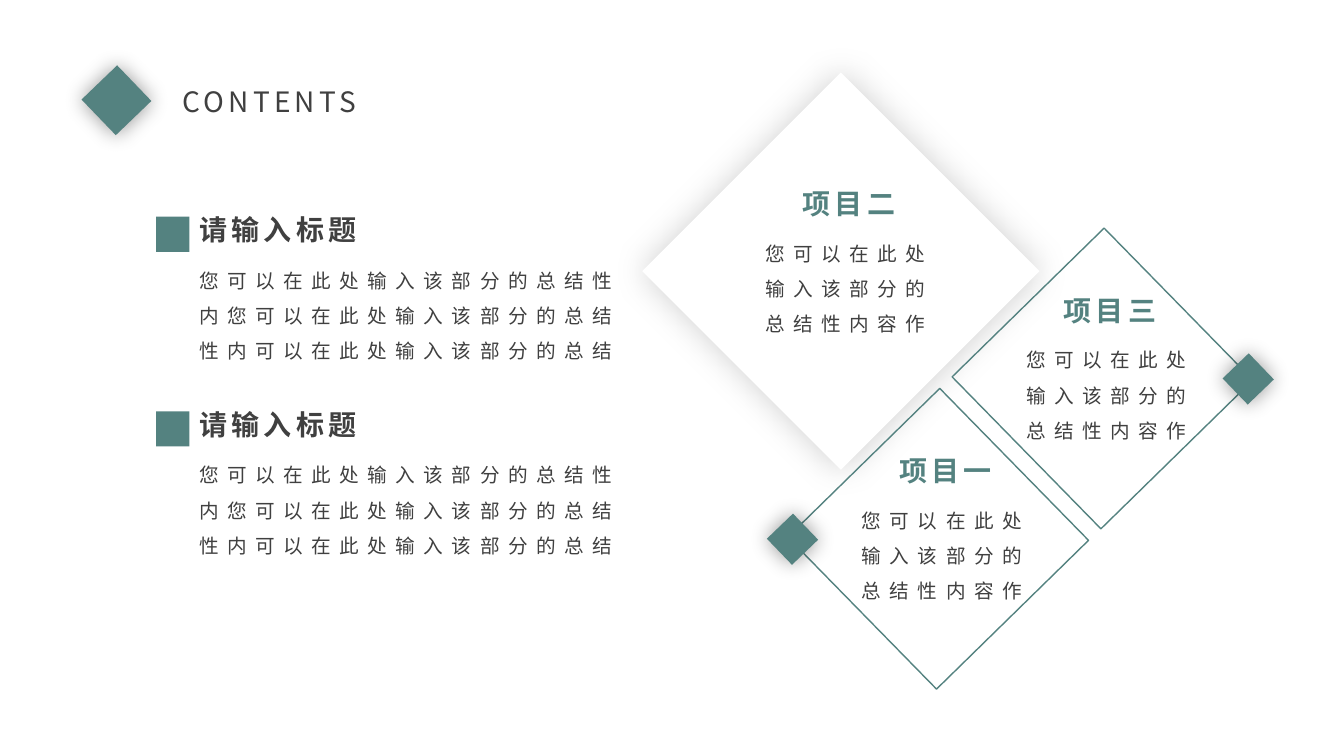
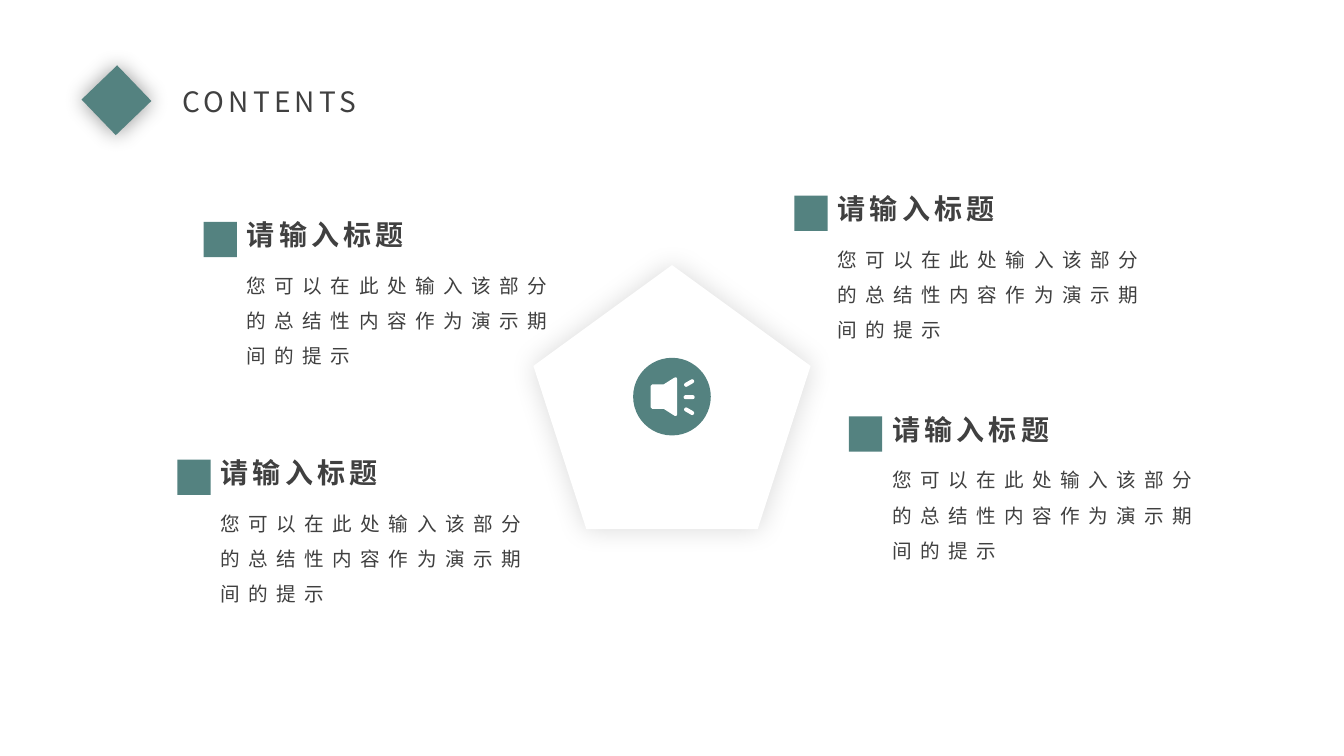
from typing import NamedTuple, Optional

from pptx import Presentation
from pptx.dml.color import RGBColor
from pptx.enum.shapes import MSO_SHAPE as Preset
from pptx.enum.text import MSO_ANCHOR as Anchor, MSO_AUTO_SIZE as AutoSize, PP_ALIGN as Align
from pptx.oxml.ns import qn
from pptx.oxml.xmlchemy import OxmlElement as Element
from pptx.shapes.autoshape import Shape
from pptx.slide import Slide
from pptx.text.text import TextFrame
from pptx.util import Inches, Pt

TEAL = RGBColor(0x54, 0x82, 0x80)
GRAY = RGBColor(0x40, 0x40, 0x40)
WHITE = RGBColor(0xFF, 0xFF, 0xFF)
FONT = "Noto Sans CJK SC"

HEADING = "请输入标题"
CARD_BODY = "您可以在此处输入该部分的总结性内容作"
LONG_BODY = "您可以在此处输入该部分的总结性内您可以在此处输入该部分的总结性内可以在此处输入该部分的总结"
SHORT_BODY = "您可以在此处输入该部分的总结性内容作为演示期间的提示"


class Box(NamedTuple):
    left: float
    top: float
    width: float
    height: float


class TextStyle(NamedTuple):
    size: int
    color: RGBColor
    spacing: int
    bold: bool = False
    align: Align = Align.LEFT
    line_spacing: float = 1.0


class Glow(NamedTuple):
    alpha: int
    blur: int


class Section(NamedTuple):
    left: float
    top: float
    body_width: float
    body: str


class Card(NamedTuple):
    name: str
    left: float
    top: float


TITLE_STYLE = TextStyle(20, GRAY, 3)
HEADING_STYLE = TextStyle(20, GRAY, 3, bold=True)
CARD_STYLE = TextStyle(20, TEAL, 3, bold=True, align=Align.CENTER)
BODY_STYLE = TextStyle(14, GRAY, 6, line_spacing=1.5)
ACCENT_GLOW = Glow(40, 15)

SUMMARY_SECTIONS = [Section(1.55, top, 4.41, LONG_BODY) for top in (2.15, 4.08)]
PENTAGON_SECTIONS = [
    Section(7.88, 1.94, 3.26, SHORT_BODY),
    Section(8.42, 4.13, 3.26, SHORT_BODY),
    Section(1.76, 4.56, 3.35, SHORT_BODY),
    Section(2.02, 2.2, 3.35, SHORT_BODY),
]
MAIN_CARD = Card("项目二", 7.82, 1.8)
# Each outlined card has its accent on one side
SIDE_CARDS = [(Card("项目三", 10.41, 2.86), 1.79), (Card("项目一", 8.78, 4.45), -1.1)]


def add_glow(shape: Shape, glow: Glow) -> None:
    shadow = Element("a:outerShdw")
    for key, value in (("blurRad", Pt(glow.blur)), ("dist", 0), ("dir", 0),
                       ("algn", "ctr"), ("rotWithShape", 0)):
        shadow.set(key, str(value))
    color = Element("a:srgbClr")
    color.set("val", "000000")
    alpha = Element("a:alpha")
    alpha.set("val", str(glow.alpha * 1000))
    color.append(alpha)
    shadow.append(color)
    shape.element.spPr.find(qn("a:effectLst")).append(shadow)


def add_preset(slide: Slide, preset: Preset, box: Box, fill: Optional[RGBColor] = None,
               line: Optional[RGBColor] = None, rotation: float = 0,
               glow: Optional[Glow] = None) -> Shape:
    shape = slide.shapes.add_shape(preset, *map(Inches, box))
    shape.rotation = rotation
    shape.shadow.inherit = False
    if fill is None:
        shape.fill.background()
    else:
        shape.fill.solid()
        shape.fill.fore_color.rgb = fill
    if line is None:
        shape.line.fill.background()
    else:
        shape.line.color.rgb = line
        shape.line.width = Pt(1)
    if glow:
        add_glow(shape, glow)
    return shape


def add_accent(slide: Slide, left: float, top: float, side: float) -> None:
    add_preset(slide, Preset.RECTANGLE, Box(left, top, side, side), TEAL,
               rotation=46.1, glow=ACCENT_GLOW)


def write_text(frame: TextFrame, text: str, style: TextStyle) -> None:
    paragraph = frame.paragraphs[0]
    paragraph.alignment = style.align
    paragraph.line_spacing = style.line_spacing
    run = paragraph.add_run()
    run.text = text
    run.font.size = Pt(style.size)
    run.font.bold = style.bold
    run.font.color.rgb = style.color
    run.font.name = FONT
    properties = run.font._element
    properties.set("spc", str(style.spacing * 100))
    east_asian = Element("a:ea")
    east_asian.set("typeface", FONT)
    properties.find(qn("a:latin")).addnext(east_asian)


def add_text(slide: Slide, box: Box, text: str, style: TextStyle, wrap: bool = True) -> None:
    frame = slide.shapes.add_textbox(*map(Inches, box)).text_frame
    frame.word_wrap = wrap
    frame.auto_size = AutoSize.SHAPE_TO_FIT_TEXT
    write_text(frame, text, style)


def add_contents_slide(deck: Presentation) -> Slide:
    slide = deck.slides.add_slide(deck.slide_layouts[5])
    title = slide.shapes.title
    title.left, title.top, title.width, title.height = map(Inches, Box(1.71, 0.79, 2.81, 0.44))
    title.text_frame.auto_size = AutoSize.NONE
    title.text_frame.vertical_anchor = Anchor.TOP
    write_text(title.text_frame, "CONTENTS", TITLE_STYLE)
    add_accent(slide, 0.91, 0.75, 0.49)
    return slide


def add_section(slide: Slide, section: Section) -> None:
    left, top, width, body = section
    add_preset(slide, Preset.RECTANGLE, Box(left, top, 0.33, 0.35), TEAL)
    add_text(slide, Box(left + 0.33, top - 0.09, 1.85, 0.44), HEADING, HEADING_STYLE, wrap=False)
    add_text(slide, Box(left + 0.33, top + 0.35, width, 1.12), body, BODY_STYLE)


def add_card_text(slide: Slide, card: Card) -> None:
    add_text(slide, Box(card.left, card.top, 1.2, 0.44), card.name, CARD_STYLE, wrap=False)
    add_text(slide, Box(card.left - 0.33, card.top + 0.43, 2.05, 1.12), CARD_BODY, BODY_STYLE)


def add_speaker_icon(slide: Slide) -> None:
    add_preset(slide, Preset.OVAL, Box(6.28, 3.55, 0.77, 0.77), TEAL)

    # Speaker body, its corners rounded by a thick outline
    outline = [(6.47, 3.83), (6.59, 3.83), (6.7, 3.76), (6.7, 4.11), (6.59, 4.04), (6.47, 4.04)]
    points = [(Inches(x), Inches(y)) for x, y in outline]
    builder = slide.shapes.build_freeform(*points[0])
    builder.add_line_segments(points[1:], close=True)
    speaker = builder.convert_to_shape()
    speaker.shadow.inherit = False
    speaker.fill.solid()
    speaker.fill.fore_color.rgb = WHITE
    speaker.line.color.rgb = WHITE
    speaker.line.width = Pt(2.5)
    speaker.element.spPr.find(qn("a:ln")).append(Element("a:round"))

    # Sound waves
    for step in (-1, 0, 1):
        wave = add_preset(slide, Preset.ROUNDED_RECTANGLE,
                          Box(6.78, 3.92 + step * 0.14, 0.11, 0.04), WHITE, rotation=step * 30)
        wave.adjustments[0] = 0.5


def build_diamonds(deck: Presentation) -> None:
    slide = add_contents_slide(deck)
    add_preset(slide, Preset.DIAMOND, Box(6.37, 0.72, 3.94, 3.94), WHITE, glow=Glow(18, 24))
    add_card_text(slide, MAIN_CARD)
    for card, accent_offset in SIDE_CARDS:
        add_card_text(slide, card)
        add_preset(slide, Preset.RECTANGLE, Box(card.left - 0.53, card.top - 0.16, 2.11, 2.11),
                   line=TEAL, rotation=45.6)
        add_accent(slide, card.left + accent_offset, card.top + 0.72, 0.36)
    for section in SUMMARY_SECTIONS:
        add_section(slide, section)


def build_pentagon(deck: Presentation) -> None:
    slide = add_contents_slide(deck)
    add_preset(slide, Preset.REGULAR_PENTAGON, Box(5.29, 2.63, 2.75, 2.62), WHITE,
               glow=Glow(14, 19))
    add_speaker_icon(slide)
    for section in PENTAGON_SECTIONS:
        add_section(slide, section)


def main() -> None:
    deck = Presentation()
    deck.slide_width, deck.slide_height = Inches(13.33), Inches(7.5)
    build_diamonds(deck)
    build_pentagon(deck)
    deck.save("out.pptx")


if __name__ == "__main__":
    main()
